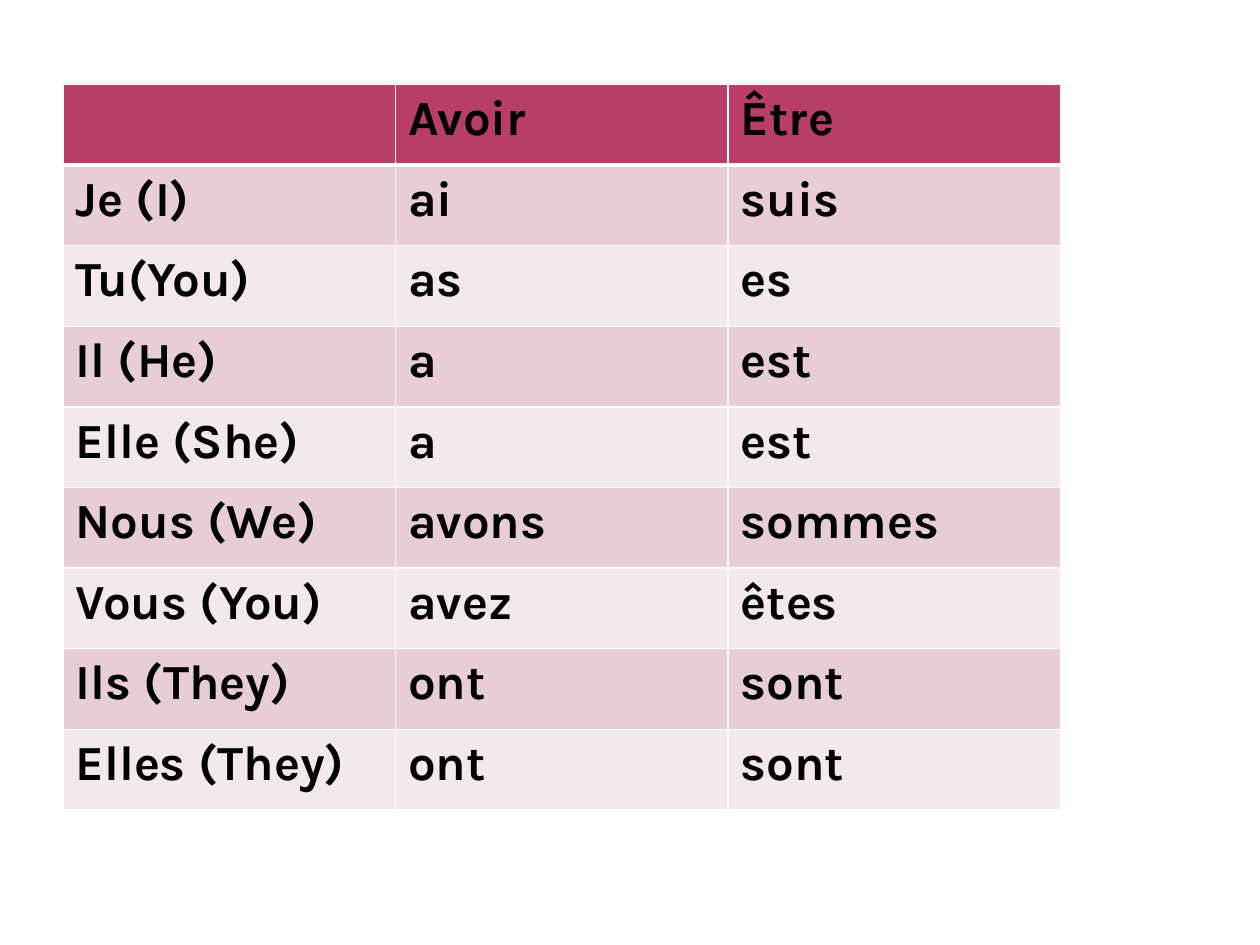
from lxml.etree import SubElement
from pptx import Presentation
from pptx.dml.color import RGBColor
from pptx.oxml.ns import qn
from pptx.util import Inches, Pt

# Content: pronoun, avoir, être
ROWS = [
    ("", "Avoir", "Être"),
    ("Je (I)", "ai", "suis"),
    ("Tu(You)", "as", "es"),
    ("Il (He)", "a", "est"),
    ("Elle (She)", "a", "est"),
    ("Nous (We)", "avons", "sommes"),
    ("Vous (You)", "avez", "êtes"),
    ("Ils (They)", "ont", "sont"),
    ("Elles (They)", "ont", "sont"),
]
FONT = "Karla"
BLACK = RGBColor(0x00, 0x00, 0x00)
WHITE = RGBColor(0xFF, 0xFF, 0xFF)
HEAD = RGBColor(0xB8, 0x3D, 0x68)
BANDS = [RGBColor(0xF3, 0xE8, 0xEB), RGBColor(0xE6, 0xCE, 0xD4)]
LEFT, TOP, COL, ROW = 0.5, 0.67, 2.64, 0.64


def add_edges(cell, row):
    """Draw white cell borders, thick below the header."""
    thick = {0: "lnB", 1: "lnT"}.get(row)
    props = cell._tc.get_or_add_tcPr()
    for side in ("lnL", "lnR", "lnT", "lnB"):
        width = Pt(3 if side == thick else 1)
        line = SubElement(props, qn(f"a:{side}"), w=str(width))
        fill = SubElement(line, qn("a:solidFill"))
        SubElement(fill, qn("a:srgbClr"), val=str(WHITE))


def add_text(cell, text):
    run = cell.text_frame.paragraphs[0].add_run()
    run.text = text
    run.font.name = FONT
    run.font.size = Pt(28)
    run.font.bold = True
    run.font.color.rgb = BLACK


deck = Presentation()
deck.slide_width, deck.slide_height = Inches(10), Inches(7.5)
slide = deck.slides.add_slide(deck.slide_layouts[6])

# Verb table
count, width = len(ROWS), len(ROWS[0])
table = slide.shapes.add_table(
    count, width, Inches(LEFT), Inches(TOP),
    Inches(COL * width), Inches(ROW * count)).table
for col in table.columns:
    col.width = Inches(COL)
for r, words in enumerate(ROWS):
    table.rows[r].height = Inches(ROW)
    for c, word in enumerate(words):
        cell = table.cell(r, c)
        add_edges(cell, r)
        cell.fill.solid()
        cell.fill.fore_color.rgb = BANDS[r % 2] if r else HEAD
        if word:
            add_text(cell, word)

deck.save("out.pptx")
